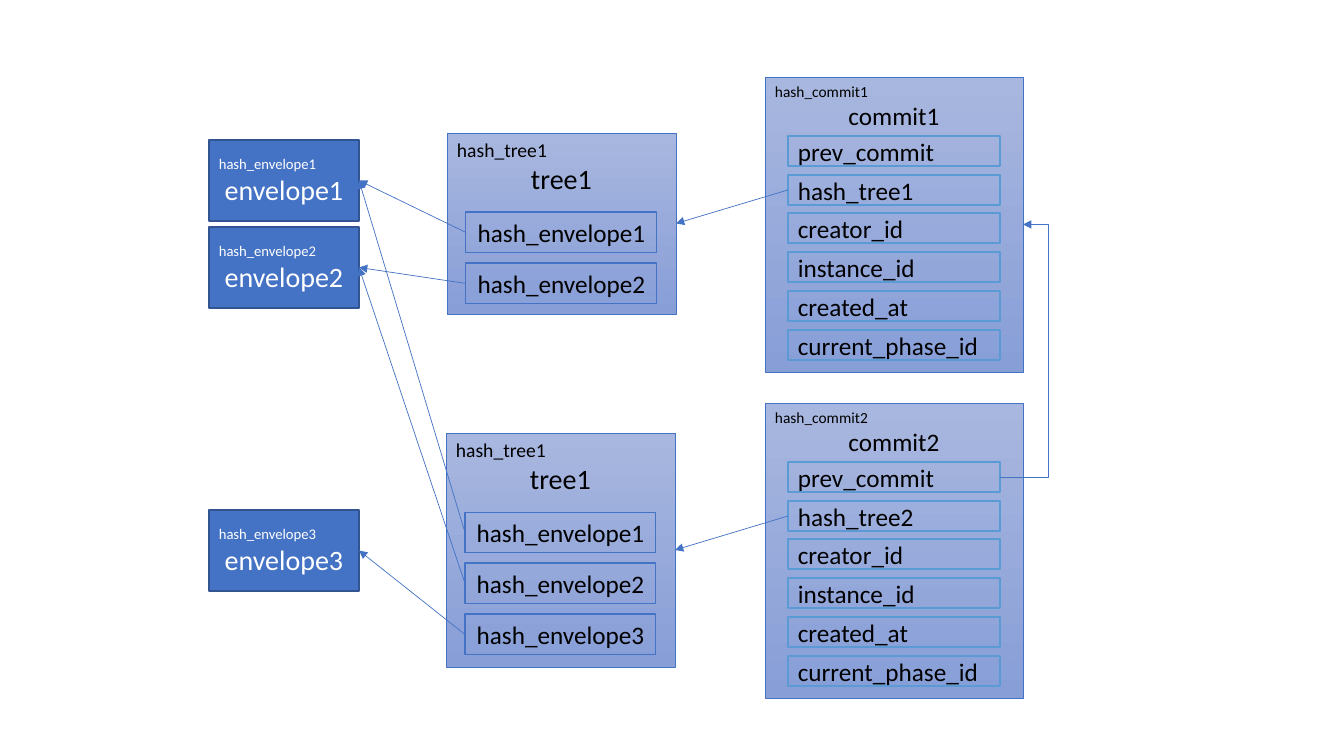
from pptx import Presentation
from pptx.dml.color import RGBColor
from pptx.enum.shapes import MSO_CONNECTOR, MSO_SHAPE
from pptx.enum.text import MSO_ANCHOR, PP_ALIGN
from pptx.oxml.ns import qn
from pptx.util import Pt
from lxml.etree import SubElement

SCALE = 914400 / 100.8
BLUE, SKY, NAVY = "4472C4", "5B9BD5", "325491"
BLACK, WHITE = "000000", "FFFFFF"
LEFT, CENTER = PP_ALIGN.LEFT, PP_ALIGN.CENTER
TOP, MIDDLE = MSO_ANCHOR.TOP, MSO_ANCHOR.MIDDLE
WEST, EAST = 1, 3

COMMIT = {"size": (258, 295), "text": (11, 18), "inset": 23, "first": 59,
          "pitch": 38.7, "field": (212, 30), "line": (SKY, 1),
          "align": LEFT, "anchor": MIDDLE}
TREE = {"text": (14, 20), "inset": 19, "first": 79,
        "pitch": 51, "field": (191, 41), "line": (BLUE, 0.75),
        "align": CENTER, "anchor": TOP}


def emu(px):
    return round(px * SCALE)


def color(code):
    return RGBColor.from_string(code)


def assign(target, values):
    for name, value in values.items():
        setattr(target, name, value)


def stroke(item, code, width):
    item.line.color.rgb = color(code)
    item.line.width = Pt(width)


def box(shapes, spot, size, line, lines, anchor, ink=BLACK):
    rect = shapes.add_shape(MSO_SHAPE.RECTANGLE, *map(emu, (*spot, *size)))
    rect.shadow.inherit = False
    rect.fill.background()
    stroke(rect, *line)
    frame = rect.text_frame
    assign(frame, {"word_wrap": True, "vertical_anchor": anchor})
    for i, (text, points, align) in enumerate(lines):
        para = frame.add_paragraph() if i else frame.paragraphs[0]
        para.alignment = align
        run = para.add_run()
        run.text = text
        assign(run.font, {"name": "Calibri", "size": Pt(points)})
        run.font.color.rgb = color(ink)
    return rect


def titles(name, sizes):
    return [("hash_" + name, sizes[0], LEFT), (name, sizes[1], CENTER)]


def shade(rect):
    rect.fill.gradient()
    rect.fill.gradient_angle = 270
    for stop, code in zip(rect.fill.gradient_stops, ("A8B7DF", "889ED7")):
        stop.color.rgb = color(code)


def card(slide, name, spot, size, style, fields):
    shapes = slide.shapes.add_group_shape().shapes
    outer = box(shapes, spot, size, (BLUE, 0.5),
                titles(name, style["text"]), TOP)
    shade(outer)
    left, top = spot[0] + style["inset"], spot[1] + style["first"]
    rows = [box(shapes, (left, round(top + i * style["pitch"])),
                style["field"], style["line"],
                [(field, 18, style["align"])], style["anchor"])
            for i, field in enumerate(fields)]
    return outer, rows


def commit(slide, number, top):
    fields = ["prev_commit", f"hash_tree{number}", "creator_id",
              "instance_id", "created_at", "current_phase_id"]
    return card(slide, f"commit{number}", (765, top), COMMIT["size"],
                COMMIT, fields)


def tree(slide, spot, height, count):
    fields = [f"hash_envelope{i + 1}" for i in range(count)]
    return card(slide, "tree1", spot, (229, height), TREE, fields)


def envelope(slide, number, top):
    rect = box(slide.shapes, (209, top), (150, 81), (NAVY, 1),
               titles(f"envelope{number}", (10.5, 20)), MIDDLE, WHITE)
    rect.fill.solid()
    rect.fill.fore_color.rgb = color(BLUE)
    return rect


def arrow(slide, start, end, side=WEST, kind=MSO_CONNECTOR.STRAIGHT):
    link = slide.shapes.add_connector(kind, 0, 0, 0, 0)
    link.begin_connect(start, side)
    link.end_connect(end, EAST)
    stroke(link, BLUE, 0.5)
    props = link._element.spPr
    SubElement(props.find(qn("a:ln")), qn("a:tailEnd"), type="triangle")
    SubElement(props, qn("a:effectLst"))
    return link


def bend(link, reach):
    geom = link._element.spPr.find(qn("a:prstGeom"))
    ratio = round(emu(reach) / link.width * 100000)
    SubElement(geom.find(qn("a:avLst")), qn("a:gd"),
               name="adj1", fmla=f"val {ratio}")


def main():
    deck = Presentation()
    assign(deck, {"slide_width": emu(1344), "slide_height": emu(756)})
    slide = deck.slides.add_slide(deck.slide_layouts[6])

    commits = [commit(slide, i + 1, top) for i, top in enumerate((77, 403))]
    trees = [tree(slide, (447, 133), 181, 2), tree(slide, (446, 433), 234, 3)]
    mails = [envelope(slide, i + 1, top)
             for i, top in enumerate((140, 227, 510))]

    for (_, fields), (outer, rows) in zip(commits, trees):
        arrow(slide, fields[1], outer)
        for row, mail in zip(rows, mails):
            arrow(slide, row, mail)
    back = arrow(slide, commits[1][1][0], commits[0][0], EAST,
                 MSO_CONNECTOR.ELBOW)
    bend(back, 48)
    deck.save("out.pptx")


main()
